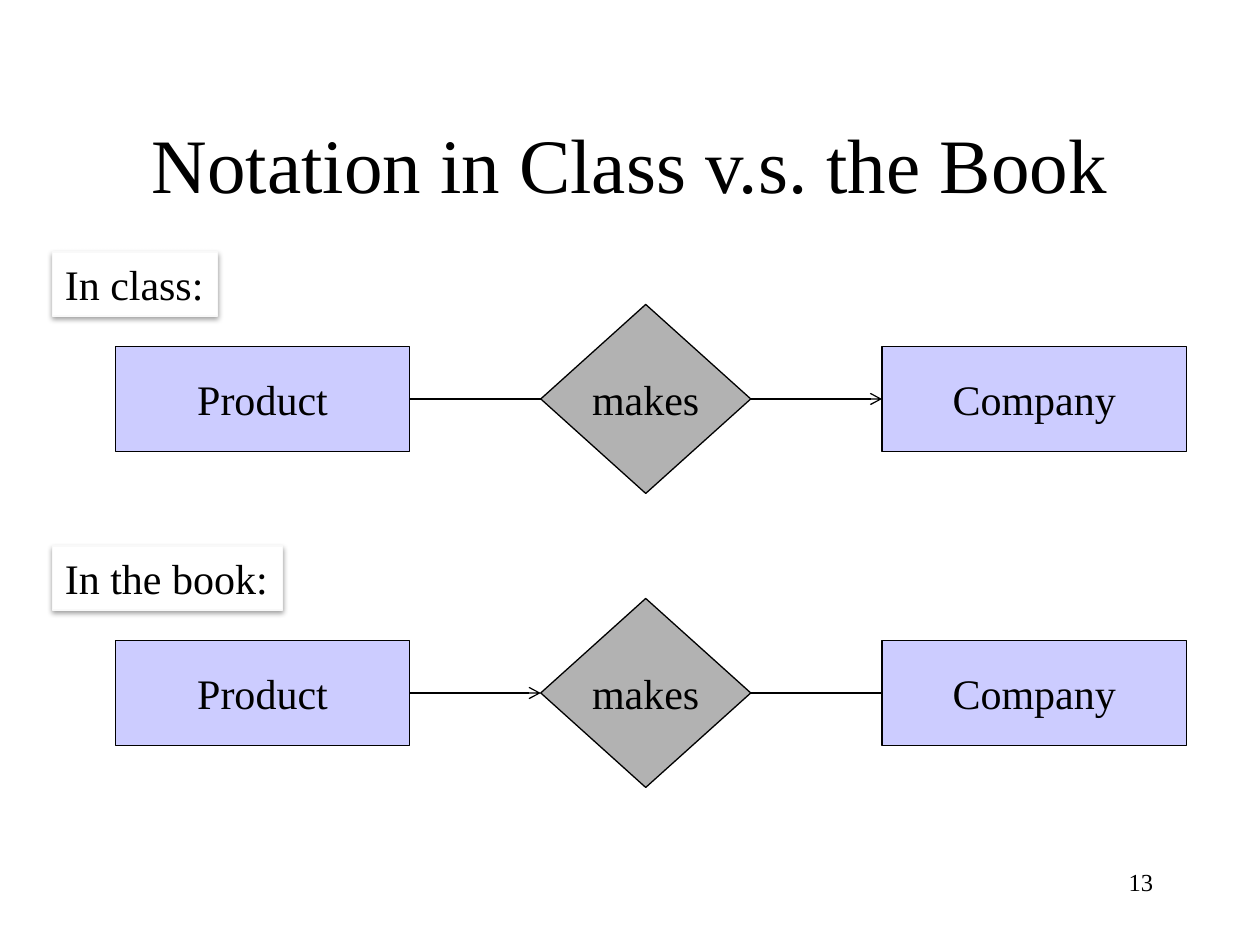
from lxml import etree
from pptx import Presentation, util as u
from pptx.dml.color import RGBColor
from pptx.enum import shapes, text
from pptx.oxml.ns import qn

UNIT = u.Inches(10) // 120


def color(value):
    return RGBColor.from_string(value)


def add_box(kind, grid, words, size, align, fill=None, line=None, wrap=False):
    sp = s.shapes.add_shape(kind, *[int(n * UNIT) for n in grid]) if fill else \
        s.shapes.add_textbox(*[int(n * UNIT) for n in grid])
    if fill:
        sp.shadow.inherit = False
        sp.fill.solid()
        sp.fill.fore_color.rgb = color(fill)
        sp.line.color.rgb = color(line)
        sp.line.width = u.Pt(0.75)
    tf = sp.text_frame
    tf.word_wrap = wrap
    tf.vertical_anchor = text.MSO_ANCHOR.MIDDLE
    p = tf.paragraphs[0]
    p.text = words
    p.alignment = align
    p.font.name = "Times New Roman"
    p.font.size = u.Pt(size)
    p.font.color.rgb = color("000000")
    return sp


prs = Presentation()
prs.slide_width = 120 * UNIT
prs.slide_height = 90 * UNIT
s = prs.slides.add_slide(prs.slide_layouts[6])

rect, diamond = shapes.MSO_SHAPE.RECTANGLE, shapes.MSO_SHAPE.DIAMOND
left, center, right = text.PP_ALIGN.LEFT, text.PP_ALIGN.CENTER, text.PP_ALIGN.RIGHT

add_box(None, (9, 8, 102, 15), "Notation in Class v.s. the Book", 44, center, wrap=True)
number = add_box(None, (86, 82, 25, 6), "13", 14, right, wrap=True)
number.text_frame.vertical_anchor = text.MSO_ANCHOR.TOP

for row, label, width, arrow_end in ((24, "In class:", 15.75, "company"),
                                     (52, "In the book:", 21.9, "makes")):
    makes = add_box(diamond, (51.5, row + 5, 20, 18), "makes", 24, center, "B2B2B2", "000000")
    company = add_box(rect, (84, row + 9, 29, 10), "Company", 24, center, "CCCCFF", "000000")
    product = add_box(rect, (11, row + 9, 28, 10), "Product", 24, center, "CCCCFF", "000000")

    for start, end, name in ((product, makes, "makes"), (makes, company, "company")):
        c = s.shapes.add_connector(shapes.MSO_CONNECTOR.STRAIGHT, 0, 0, 0, 0)
        c.begin_connect(start, 3)
        c.end_connect(end, 1)
        c.line.color.rgb = color("000000")
        c.line.width = u.Pt(0.75)
        pr = c._element.spPr
        if name == arrow_end:
            etree.SubElement(pr.find(qn("a:ln")), qn("a:tailEnd"), type="arrow")
        etree.SubElement(pr, qn("a:effectLst"))

    tag = add_box(rect, (5, row, width, 6.1), label, 24, left, "FFFFFF", "F9F9F9")
    tag.text_frame.vertical_anchor = text.MSO_ANCHOR.TOP
    tag.text_frame.auto_size = text.MSO_AUTO_SIZE.SHAPE_TO_FIT_TEXT
    effects = tag._element.spPr.find(qn("a:effectLst"))
    shadow = etree.SubElement(effects, qn("a:outerShdw"), blurRad="40000", dist="20000",
                              dir="5400000", rotWithShape="0")
    shade = etree.SubElement(shadow, qn("a:srgbClr"), val="000000")
    etree.SubElement(shade, qn("a:alpha"), val="38000")

prs.save("out.pptx")
